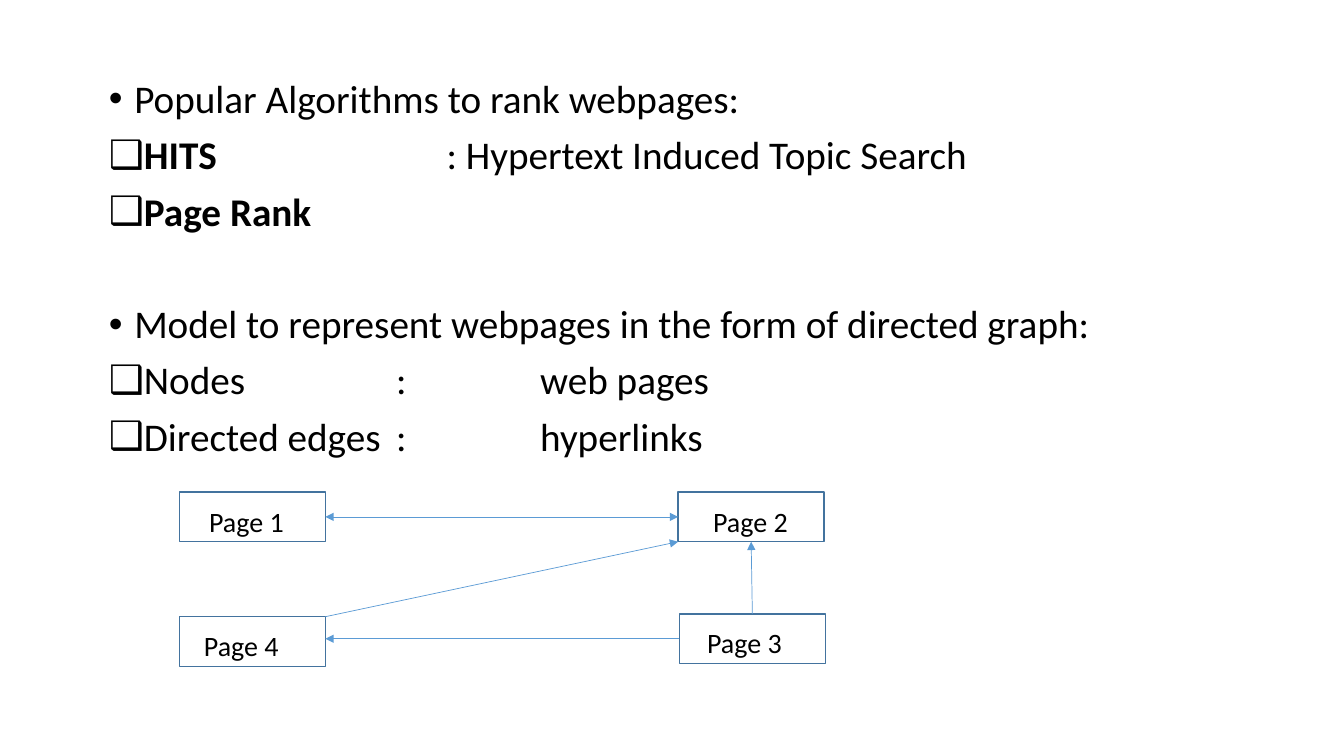
from dataclasses import dataclass
from lxml import etree
from pptx import Presentation
from pptx import util as u
from pptx.dml.color import RGBColor
from pptx.enum import shapes, text
from pptx.oxml.ns import qn


@dataclass(frozen=True)
class Theme:
    """Colours, font and type sizes of the slide."""
    font: str = "Calibri"
    ink: str = "000000"
    border: str = "43739E"
    arrow: str = "5B9BD5"
    list_size: int = 28
    label_size: int = 20
    border_width: float = 1
    arrow_width: float = 0.5


def apply(target, values):
    """Set every attribute named in a dict of format values."""
    for name, value in values.items():
        setattr(target, name, value)


def add_node(parent, tag, **values):
    """Append an XML element with the given attributes."""
    node = etree.SubElement(parent, qn(tag))
    for name, value in values.items():
        node.set(name, str(value))
    return node


class GraphSlide:
    """Draws lists, page boxes and links on one slide."""

    def __init__(self, deck, theme):
        self.theme = theme
        self.page = deck.slides.add_slide(deck.slide_layouts[1])
        title = self.page.shapes.title.element
        title.getparent().remove(title)

    def span(self, para, words, size, bold=False):
        """Add a styled run of words to a paragraph."""
        span = para.add_run()
        span.text = words
        apply(span.font, {"name": self.theme.font, "size": u.Pt(size), "bold": bold})
        span.font.color.rgb = RGBColor.from_string(self.theme.ink)

    def bullets(self, left, top, width, height, items):
        """Fill the body placeholder with a bulleted list."""
        body = self.page.placeholders[1]
        apply(body, {"left": u.Cm(left), "top": u.Cm(top),
                     "width": u.Cm(width), "height": u.Cm(height)})
        frame = body.text_frame
        apply(frame, {"word_wrap": True, "auto_size": text.MSO_AUTO_SIZE.NONE,
                      "vertical_anchor": text.MSO_ANCHOR.TOP})
        for index, (mark, gap, stops, spans) in enumerate(items):
            para = frame.add_paragraph() if index else frame.paragraphs[0]
            apply(para, {"line_spacing": 0.9, "space_before": u.Pt(gap),
                         "alignment": text.PP_ALIGN.LEFT})
            for words, bold in spans:
                self.span(para, words, self.theme.list_size, bold)
            layout = para._p.get_or_add_pPr()
            layout.set("marL", str(u.Cm(0.64)))
            layout.set("indent", str(-u.Cm(0.64)))
            add_node(layout, "a:buFont", typeface="Arial")
            add_node(layout, "a:buChar", char=mark)
            if stops:
                tabs = add_node(layout, "a:tabLst")
                for stop in stops:
                    add_node(tabs, "a:tab", pos=u.Cm(stop), algn="l")

    def box(self, label, left, top, width, height, inset):
        """Draw an outlined box with its label."""
        box = self.page.shapes.add_shape(
            shapes.MSO_SHAPE.RECTANGLE, *map(u.Cm, (left, top, width, height)))
        box.shadow.inherit = False
        box.fill.background()
        box.line.color.rgb = RGBColor.from_string(self.theme.border)
        box.line.width = u.Pt(self.theme.border_width)
        frame = box.text_frame
        apply(frame, {"margin_left": u.Cm(inset), "margin_right": 0,
                      "margin_top": u.Cm(0.2), "margin_bottom": 0,
                      "word_wrap": True, "vertical_anchor": text.MSO_ANCHOR.MIDDLE})
        para = frame.paragraphs[0]
        para.alignment = text.PP_ALIGN.LEFT
        self.span(para, label, self.theme.label_size)
        return box

    def link(self, start, end, begin=None, finish=None, both=False):
        """Draw an arrow between points, joined to boxes where given."""
        link = self.page.shapes.add_connector(
            shapes.MSO_CONNECTOR.STRAIGHT, *start, *end)
        if begin:
            link.begin_connect(*begin)
        if finish:
            link.end_connect(*finish)
        link.line.color.rgb = RGBColor.from_string(self.theme.arrow)
        link.line.width = u.Pt(self.theme.arrow_width)
        outline = link.line._get_or_add_ln()
        if both:
            add_node(outline, "a:headEnd", type="triangle")
        add_node(outline, "a:tailEnd", type="triangle")
        add_node(link._element.spPr, "a:effectLst")


def main():
    """Build the slide and save it."""
    deck = Presentation()
    apply(deck, {"slide_width": u.Cm(33.87), "slide_height": u.Cm(19.05)})
    slide = GraphSlide(deck, Theme())

    columns = (7.24, 10.87)
    slide.bullets(2.49, 1.88, 29.21, 10.2, [
        ("•", 10, (), [("Popular Algorithms to rank webpages:", False)]),
        ("❑", 10, (8.51,), [("HITS", True),
                            ("\t: Hypertext Induced Topic Search", False)]),
        ("❑", 10, (), [("Page Rank", True)]),
        ("•", 50, (), [("Model to represent webpages in the form of directed graph:", False)]),
        ("❑", 10, columns, [("Nodes\t:\tweb pages", False)]),
        ("❑", 10, columns, [("Directed edges\t:\thyperlinks", False)]),
    ])

    one, two, three, four = (
        slide.box(label, left, top, 3.68, 1.25, inset)
        for label, left, top, inset in (
            ("Page 1", 4.52, 12.4, 0.75), ("Page 2", 17.09, 12.4, 0.88),
            ("Page 3", 17.12, 15.47, 0.7), ("Page 4", 4.52, 15.54, 0.62)))

    origin = (0, 0)
    four_right = four.left + four.width
    three_middle = three.top + three.height // 2
    slide.link(origin, origin, (one, 3), (two, 1), both=True)
    slide.link((four_right, four.top), (two.left, two.top + two.height))
    slide.link(origin, (four_right, three_middle), begin=(three, 1))
    slide.link(origin, origin, (three, 0), (two, 2))
    deck.save("out.pptx")


if __name__ == "__main__":
    main()
